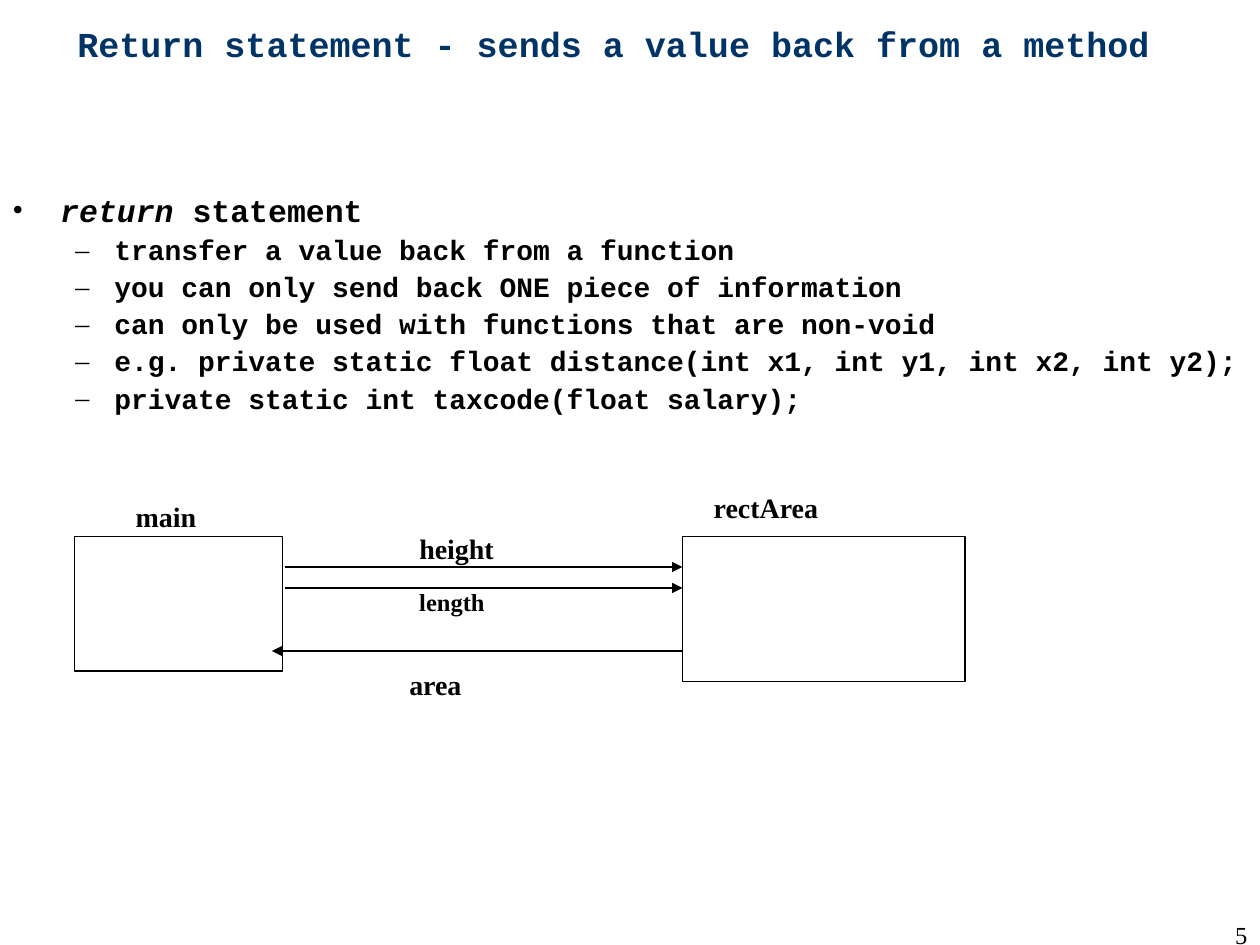
"""Build the slide on returning a value from a method."""
import lxml.etree
import pptx
import pptx.dml.color
import pptx.enum.shapes
import pptx.enum.text
import pptx.oxml.ns
import pptx.util

BLACK = pptx.dml.color.RGBColor(0x00, 0x00, 0x00)
NAVY = pptx.dml.color.RGBColor(0x00, 0x33, 0x66)
CODE_FONT = "Courier New"
LABEL_FONT = "Times New Roman"
COLUMNS, ROWS = 120, 90
WIDTH, HEIGHT = pptx.util.Inches(10), pptx.util.Inches(7.5)
ALIGN = pptx.enum.text.PP_ALIGN

POINTS = [
    "transfer a value back from a function",
    "you can only send back ONE piece of information",
    "can only be used with functions that are non-void",
    "e.g. private static float distance(int x1, int y1, int x2, int y2);",
    "private static int taxcode(float salary);",
]
METHODS = [(7.1, 51.1, 19.8, 12.8), (65, 51.1, 26.9, 13.8)]
LABELS = [
    ("main", 11.75, 47, 8.2, 16),
    ("rectArea", 66.8, 46.1, 12.5, 16),
    ("height", 38.75, 50, 9.5, 16),
    ("area", 37.8, 63, 7.4, 16),
    ("length", 38.75, 55.3, 8.6, 14),
]
CALLS = [(27.1, 65, 54), (27.1, 65, 56), (65, 25.9, 62)]


def col(count):
    """Return the length of a number of grid columns."""
    return int(WIDTH * count / COLUMNS)


def row(count):
    """Return the length of a number of grid rows."""
    return int(HEIGHT * count / ROWS)


def area(left, top, width, height):
    """Return a grid area as slide lengths."""
    return col(left), row(top), col(width), row(height)


def style(run, font, size, color=BLACK, bold=True, italic=False):
    """Format one run of text."""
    run.font.name = font
    run.font.size = pptx.util.Pt(size)
    run.font.color.rgb = color
    run.font.bold = bold
    run.font.italic = italic


def add_element(parent, tag, **attributes):
    """Append a drawing element and return it."""
    return lxml.etree.SubElement(parent, pptx.oxml.ns.qn(tag), **attributes)


def set_title(slide, text):
    """Place and format the title, with room for a second line below it."""
    title = slide.shapes.title
    title.left, title.top, title.width, title.height = area(0, 1, 119, 10)
    frame = title.text_frame
    frame.text = text
    frame.auto_size = pptx.enum.text.MSO_AUTO_SIZE.NONE
    frame.vertical_anchor = pptx.enum.text.MSO_ANCHOR.MIDDLE
    frame.margin_right = pptx.util.Inches(0.27)
    frame.margin_bottom = pptx.util.Inches(0.36)
    frame.paragraphs[0].alignment = ALIGN.CENTER
    style(frame.paragraphs[0].runs[0], CODE_FONT, 20, NAVY)


def add_label(slide, text, place, size, bold=True, align=ALIGN.LEFT):
    """Add a one-line label."""
    frame = slide.shapes.add_textbox(*area(*place)).text_frame
    frame.text = text
    frame.word_wrap = False
    frame.paragraphs[0].alignment = align
    style(frame.paragraphs[0].runs[0], LABEL_FONT, size, bold=bold)


def format_bullet(paragraph, level, mark, margin, hang, before):
    """Give a paragraph its level, spacing, indent and bullet."""
    paragraph.level = level
    paragraph.line_spacing = 0.9
    paragraph.space_before = pptx.util.Pt(before)
    properties = paragraph._p.get_or_add_pPr()
    properties.set("marL", str(pptx.util.Inches(margin)))
    properties.set("indent", str(-pptx.util.Inches(hang)))
    add_element(add_element(properties, "a:buClr"), "a:srgbClr", val=str(BLACK))
    add_element(properties, "a:buFont", typeface=LABEL_FONT)
    add_element(properties, "a:buChar", char=mark)


def add_points(slide):
    """Add the bulleted explanation of the return statement."""
    frame = slide.shapes.add_textbox(*area(0, 18, COLUMNS, 23)).text_frame
    frame.word_wrap = True
    heading = frame.paragraphs[0]
    for text, italic in (("return", True), (" statement", False)):
        run = heading.add_run()
        run.text = text
        style(run, CODE_FONT, 18, italic=italic)
    format_bullet(heading, 0, "•", 0.38, 0.38, 4.5)
    for text in POINTS:
        point = frame.add_paragraph()
        point.text = text
        style(point.runs[0], CODE_FONT, 16)
        format_bullet(point, 1, "–", 0.81, 0.31, 4)


def add_method(slide, place):
    """Add the outlined box of a method."""
    method = slide.shapes.add_shape(
        pptx.enum.shapes.MSO_SHAPE.RECTANGLE, *area(*place))
    method.shadow.inherit = False
    method.fill.background()
    method.line.color.rgb = BLACK
    method.line.width = pptx.util.Pt(1)


def add_call(slide, start, end, level):
    """Add a horizontal arrow that carries a value between methods."""
    call = slide.shapes.add_connector(
        pptx.enum.shapes.MSO_CONNECTOR.STRAIGHT,
        col(start), row(level), col(end), row(level))
    call.line.color.rgb = BLACK
    call.line.width = pptx.util.Pt(1)
    add_element(call.line._get_or_add_ln(), "a:tailEnd", type="triangle")
    add_element(call._element.spPr, "a:effectLst")


def main():
    """Build and save the slide."""
    deck = pptx.Presentation()
    deck.slide_width, deck.slide_height = WIDTH, HEIGHT
    slide = deck.slides.add_slide(deck.slide_layouts.get_by_name("Title Only"))
    set_title(slide, "Return statement - sends a value back from a method")
    add_points(slide)
    for place in METHODS:
        add_method(slide, place)
    for start, end, level in CALLS:
        add_call(slide, start, end, level)
    for text, left, top, width, size in LABELS:
        add_label(slide, text, (left, top, width, 4.3), size)
    add_label(slide, "5", (95, 87, 25, 3), 14, bold=False, align=ALIGN.RIGHT)
    deck.save("out.pptx")


if __name__ == "__main__":
    main()
